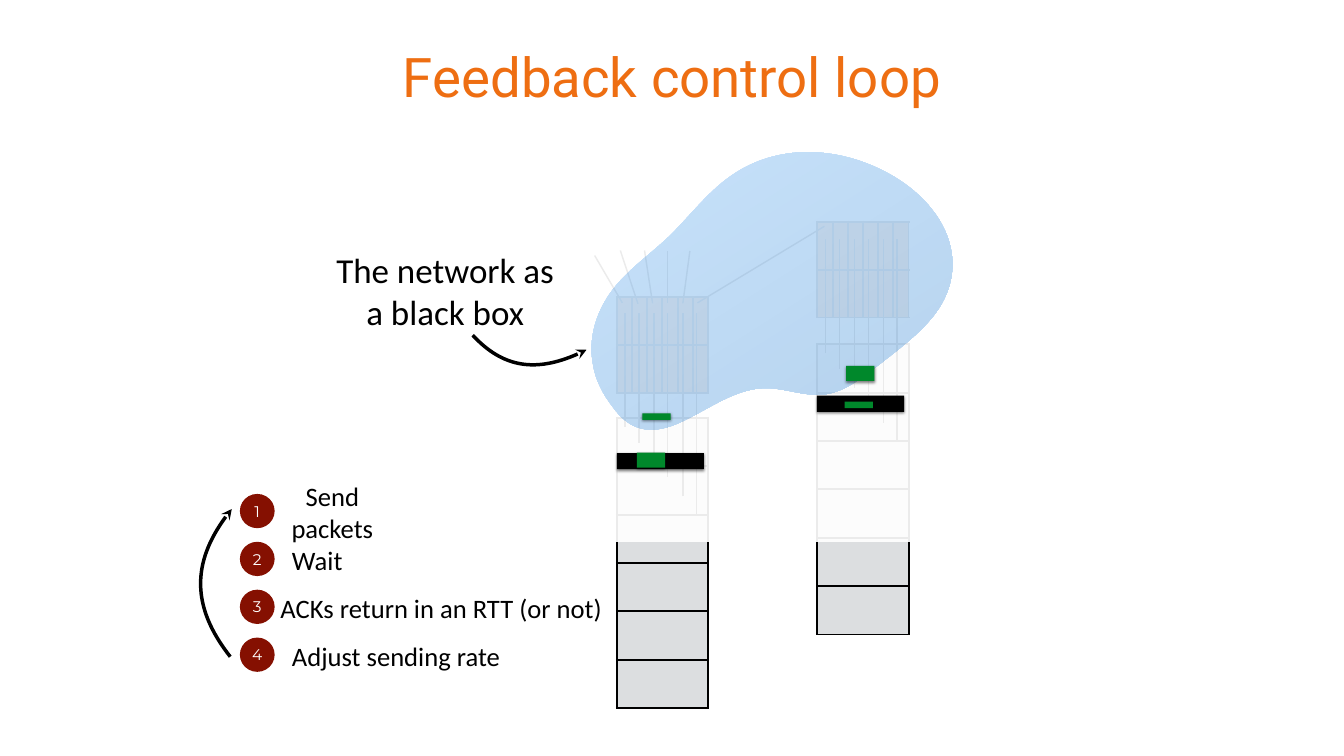
"""Build the "Feedback control loop" slide."""
from math import cos, radians, sin

from lxml import etree
from pptx import Presentation
from pptx.dml.color import RGBColor
from pptx.enum.shapes import MSO_CONNECTOR, MSO_SHAPE
from pptx.enum.text import MSO_ANCHOR, MSO_AUTO_SIZE, PP_ALIGN
from pptx.oxml import parse_xml
from pptx.oxml.ns import nsdecls, qn
from pptx.util import Pt

PX = 9144
ORANGE = RGBColor(0xEE, 0x6E, 0x12)
GREY = RGBColor(0xDC, 0xDE, 0xE0)
BLACK = RGBColor(0, 0, 0)
WHITE = RGBColor(0xFF, 0xFF, 0xFF)
RED = RGBColor(0x85, 0x10, 0x01)
GREEN = RGBColor(0x00, 0x88, 0x2B)
SKY = RGBColor(0x51, 0xA8, 0xF9)
BLUE = RGBColor(0x03, 0x65, 0xC0)
RECT, OVAL = MSO_SHAPE.RECTANGLE, MSO_SHAPE.OVAL
STRAIGHT = MSO_CONNECTOR.STRAIGHT
CENTER, MIDDLE, NO_FIT = PP_ALIGN.CENTER, MSO_ANCHOR.MIDDLE, MSO_AUTO_SIZE.NONE

prs = Presentation()
prs.slide_width, prs.slide_height = 2667 * PX, 1500 * PX
s = prs.slides.add_slide(prs.slide_layouts[5])
shapes = s.shapes


def write(sp, text, size, font, color, wrap=True):
    tf = sp.text_frame
    tf.text = text
    tf.word_wrap, tf.auto_size, tf.vertical_anchor = wrap, NO_FIT, MIDDLE
    tf.margin_left = tf.margin_right = tf.margin_top = tf.margin_bottom = 8 * PX
    for p in tf.paragraphs:
        p.alignment = CENTER
        for r in p.runs:
            r.font.size, r.font.name, r.font.color.rgb = Pt(size), font, color


def add_curve(x, y, w, h, points, closed=False):
    builder = shapes.build_freeform(x * PX, y * PX)
    builder.add_line_segments([((x + w) * PX, (y + h) * PX)], close=closed)
    sp = builder.convert_to_shape()
    sp.shadow.inherit = False
    path = sp._element.spPr.find(".//" + qn("a:path"))
    path.remove(path.find(qn("a:lnTo")))
    start, *rest = [{"x": str(round((px - x) * PX)), "y": str(round((py - y) * PX))} for px, py in points]
    path.find(".//" + qn("a:pt")).attrib.update(start)
    for i in range(0, len(rest), 3):
        bezier = etree.Element(qn("a:cubicBezTo"))
        path.insert(1 + i // 3, bezier)
        for pt in rest[i:i + 3]:
            etree.SubElement(bezier, qn("a:pt"), pt)
    if closed:
        sp.line.fill.background()
    else:
        sp.fill.background()
        sp.line.color.rgb, sp.line.width = BLACK, Pt(5)
        etree.SubElement(sp.line._get_or_add_ln(), qn("a:tailEnd"), type="stealth")
    return sp


title = shapes.title
title.left, title.top, title.width, title.height = 390 * PX, 14 * PX, 1887 * PX, 271 * PX
write(title, "Feedback control loop", 78, "Roboto", ORANGE)

for x, y, h, rows, cols, color in [(1622, 440, 190, 2, 6, ORANGE), (1622, 683, 576, 6, 1, GREY),
                                   (1224, 829, 576, 6, 1, GREY), (1224, 590, 190, 2, 6, ORANGE)]:
    table = shapes.add_table(rows, cols, x * PX, y * PX, 181 * PX, h * PX).table
    table.first_row = table.horz_banding = False
    for cell in table.iter_cells():
        tc_pr = cell._tc.get_or_add_tcPr()
        for side in ("lnL", "lnR", "lnT", "lnB"):
            tc_pr.append(parse_xml(f'<a:{side} {nsdecls("a")} w="{Pt(3)}"><a:solidFill>'
                                   f'<a:srgbClr val="{BLACK}"/></a:solidFill></a:{side}>'))
        cell.fill.solid()
        cell.fill.fore_color.rgb = color

packet_lines = [(x + dx, bottom + dy, x + dx, 475 + dy)
                for dx, dy in [(0, 0), (-398, 146)]
                for x, bottom in [(1638, 701), (1666, 732), (1696, 769), (1723, 800), (1753, 839), (1780, 877)]]
input_lines = [(1384, 601, 1636, 449), (1235, 601, 1180, 507), (1266, 603, 1231, 497),
               (1295, 602, 1279, 497), (1325, 602, 1325, 498), (1355, 602, 1369, 498)]
for ends in packet_lines + input_lines:
    line = shapes.add_connector(STRAIGHT, *[v * PX for v in ends])
    line.line.color.rgb, line.line.width = BLACK, Pt(2)
    etree.SubElement(line._element.spPr, qn("a:effectLst"))

veil = shapes.add_shape(RECT, 1051 * PX, 416 * PX, 823 * PX, 659 * PX)
veil.shadow.inherit = False
veil.fill.solid()
veil.fill.fore_color.rgb = WHITE
veil.line.fill.background()
etree.SubElement(veil._element.spPr.find(".//" + qn("a:srgbClr")), qn("a:alpha"), val="92000")

outline = [(1272, 850), (1248, 844), (1230, 827), (1216, 807), (1197, 783), (1182, 755), (1177, 724),
           (1167, 673), (1182, 620), (1215, 576), (1246, 535), (1290, 505), (1328, 469),
           (1371, 427), (1407, 377), (1458, 344), (1553, 282), (1673, 293), (1768, 347),
           (1849, 393), (1908, 474), (1885, 563), (1867, 632), (1803, 677), (1745, 723),
           (1712, 748), (1679, 776), (1639, 782), (1597, 788), (1558, 769), (1516, 770),
           (1457, 772), (1406, 812), (1352, 837), (1326, 849), (1298, 857), (1272, 850)]
cx, cy, tilt = 1518.5, 588, radians(32.4)
cloud = add_curve(1145, 349, 747, 478,
                  [(cx + (x - cx) * cos(tilt) - (y - cy) * sin(tilt),
                    cy + (x - cx) * sin(tilt) + (y - cy) * cos(tilt)) for x, y in outline], closed=True)
cloud.rotation = 327.6
cloud.fill.gradient()
cloud.fill.gradient_angle = 270
for stop, color in zip(cloud.fill.gradient_stops, (SKY, BLUE)):
    stop.color.rgb = color
for clr in cloud._element.spPr.iter(qn("a:srgbClr")):
    etree.SubElement(clr, qn("a:alpha"), val="29000")

for x, y, w, h, color in [(1224, 899, 173, 32, BLACK), (1264, 898, 56, 30, GREEN), (1275, 820, 56, 13, GREEN),
                          (1621, 785, 173, 32, BLACK), (1676, 797, 56, 13, GREEN), (1679, 726, 56, 30, GREEN)]:
    bar = shapes.add_shape(RECT, x * PX, y * PX, w * PX, h * PX)
    bar.fill.solid()
    bar.fill.fore_color.rgb = color
    bar.line.fill.background()
    bar._element.spPr.append(parse_xml(
        f'<a:effectLst {nsdecls("a")}><a:outerShdw blurRad="{Pt(4)}" dist="{Pt(2)}" dir="5400000">'
        f'<a:srgbClr val="{BLACK}"><a:alpha val="50000"/></a:srgbClr></a:outerShdw></a:effectLst>'))

steps = [("Send packets", 569, 181, True), ("Wait", 570, 119, False),
         ("ACKs return in an RTT (or not)", 550, 651, False), ("Adjust sending rate", 571, 430, False)]
for i, (text, x, w, wrap) in enumerate(steps):
    badge = shapes.add_shape(OVAL, 476 * PX, (980 + 95 * i) * PX, 69 * PX, 68 * PX)
    badge.shadow.inherit = False
    badge.fill.solid()
    badge.fill.fore_color.rgb = RED
    badge.line.fill.background()
    write(badge, str(i + 1), 22, "Montserrat", WHITE)
    label = shapes.add_textbox(x * PX, (977 + 95 * i) * PX, w * PX, 77 * PX)
    write(label, text, 38, "Calibri", BLACK, wrap)

caption = shapes.add_textbox(660 * PX, 488 * PX, 447 * PX, 177 * PX)
write(caption, "The network as\na black box", 50, "Calibri", BLACK, False)

add_curve(400, 1010, 60, 293, [(457, 1303), (379, 1204), (381, 1106), (460, 1010)])
add_curve(938, 665, 227, 58, [(938, 665), (999, 731), (1074, 740), (1164, 694)])

prs.save("out.pptx")
